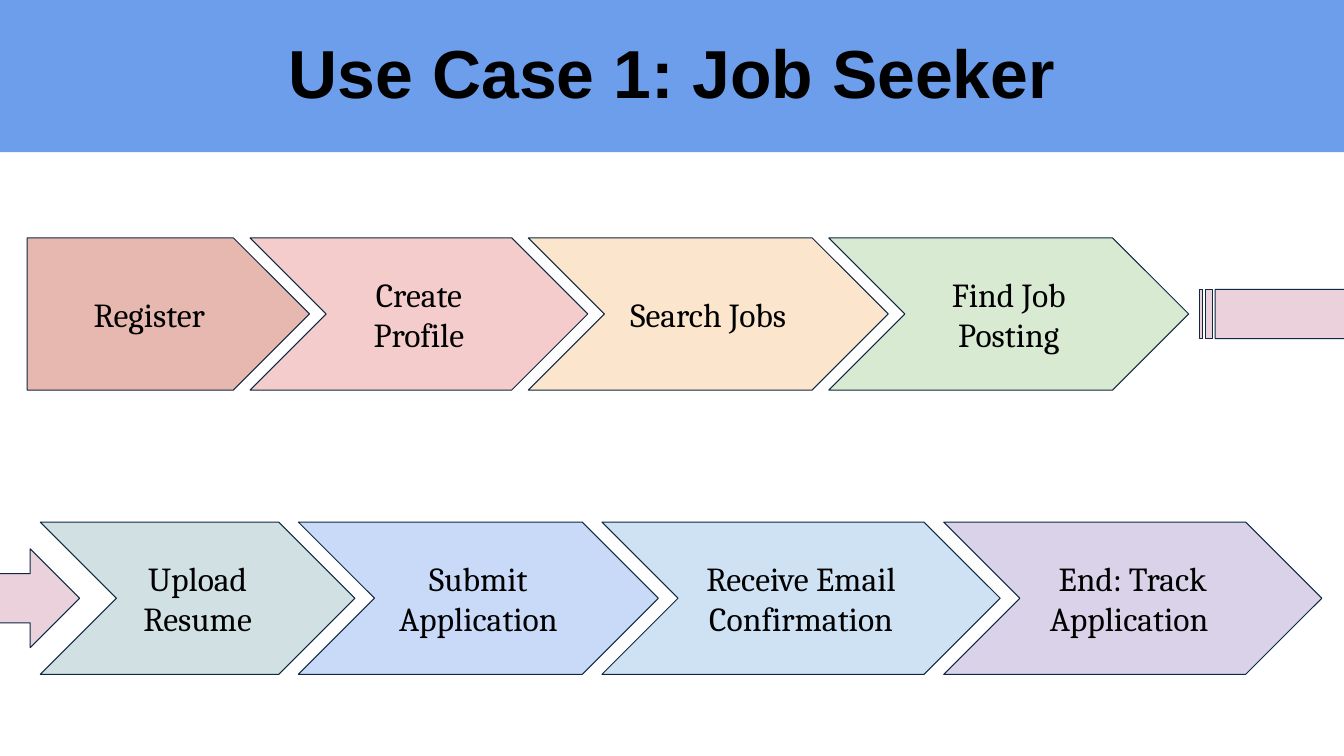
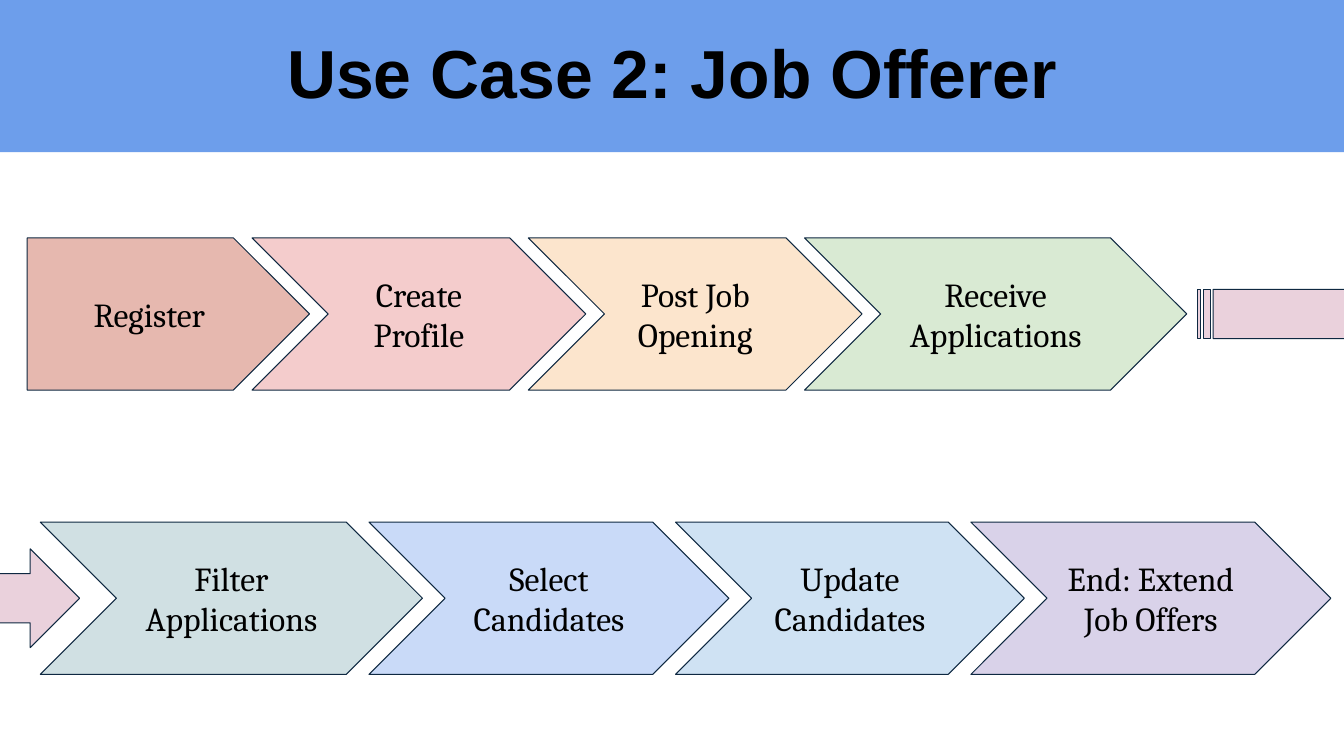
from pptx import Presentation
from pptx.dml.color import RGBColor as Rgb
from pptx.enum.shapes import MSO_SHAPE as Kind
from pptx.enum.text import MSO_ANCHOR as Anchor, MSO_AUTO_SIZE as Fit, PP_ALIGN as Align
from pptx.util import Inches as In, Pt

WIDE, HIGH = 13.33, 7.5
BAND = 1.51
STEP = 1.51
ROWS = (2.36, 5.18)
LEFTS = (0.27, 0.4)
ARROW = (2.48, 0.98)
LEAD_IN, LEAD_OUT = 0.39, 0.11
BLUE, INK, EDGE, PINK = "6D9EEB", "000000", "0E2841", "EAD1DC"
TINTS = (("E6B8AF", "F4CCCC", "FCE5CD", "D9EAD3"),
         ("D0E0E3", "C9DAF8", "CFE2F3", "D9D2E9"))

CASES = (
    ("Use Case 1: Job Seeker", (
        (0.59, (("Register", 2.8), ("Create Profile", 3.35),
                ("Search Jobs", 3.57), ("Find Job Posting", 3.57))),
        (0.56, (("Upload Resume", 3.12), ("Submit Application", 3.57),
                ("Receive Email Confirmation", 3.95),
                ("End: Track Application ", 3.75))))),
    ("Use Case 2: Job Offerer", (
        (0.57, (("Register", 2.8), ("Create Profile", 3.31),
                ("Post Job Opening", 3.31), ("Receive Applications", 3.79))),
        (0.53, (("Filter Applications", 3.79), ("Select Candidates", 3.57),
                ("Update Candidates", 3.46), ("End: Extend Job Offers", 3.57))))),
)


def paint(part, tint):
    """Fill a shape or color a font with a hex tint."""
    if hasattr(part, "solid"):
        part.solid()
        part.fore_color.rgb = Rgb.from_string(tint)
    else:
        part.color.rgb = Rgb.from_string(tint)


def write(shape, text, size=24, face="Cambria", bold=False, pad=0.1, lead=None):
    """Put centred text in a shape."""
    frame = shape.text_frame
    frame.word_wrap = True
    frame.auto_size = Fit.NONE
    frame.vertical_anchor = Anchor.MIDDLE
    frame.margin_left = frame.margin_right = In(0.1)
    frame.margin_top = frame.margin_bottom = In(pad)
    line = frame.paragraphs[0]
    line.alignment = Align.CENTER
    if lead:
        line.line_spacing = lead
    run = line.add_run()
    run.text = text
    run.font.size, run.font.name, run.font.bold = Pt(size), face, bold
    paint(run.font, INK)


def draw(slide, kind, box, tint):
    """Add an outlined shape in a box."""
    shape = slide.shapes.add_shape(kind, *map(In, box))
    shape.shadow.inherit = False
    shape.adjustments[0] = 0.5
    paint(shape.fill, tint)
    paint(shape.line, EDGE)
    shape.line.width = Pt(0.75)
    return shape


def head(slide, text):
    """Turn the title placeholder into the top band."""
    title = slide.shapes.title
    title.left, title.top, title.width, title.height = map(In, (0, 0, WIDE, BAND))
    paint(title.fill, BLUE)
    write(title, text, size=48.5, face="Arial", bold=True, pad=0.05, lead=0.9)


def chain(slide, left, top, lap, steps, tints, first):
    """Lay out interlocking steps and return the right end."""
    for spot, ((text, wide), tint) in enumerate(zip(steps, tints)):
        kind = Kind.PENTAGON if first and spot == 0 else Kind.CHEVRON
        write(draw(slide, kind, (left, top, wide, STEP), tint), text)
        left += wide - lap
    return left + lap


def link(slide, left, top):
    """Add a striped arrow centred on a row of steps."""
    wide, high = ARROW
    box = (left, top + (STEP - high) / 2, wide, high)
    draw(slide, Kind.STRIPED_RIGHT_ARROW, box, PINK)


def build(deck, name, rows):
    """Make one use case slide of two linked rows."""
    slide = deck.slides.add_slide(deck.slide_layouts[5])
    head(slide, name)
    ends = [chain(slide, left, top, lap, steps, tints, top == ROWS[0])
            for left, top, (lap, steps), tints in zip(LEFTS, ROWS, rows, TINTS)]
    link(slide, ends[0] + LEAD_OUT, ROWS[0])
    link(slide, LEFTS[1] + LEAD_IN - ARROW[0], ROWS[1])


def main():
    """Build and save the deck."""
    deck = Presentation()
    deck.slide_width, deck.slide_height = In(WIDE), In(HIGH)
    for name, rows in CASES:
        build(deck, name, rows)
    deck.save("out.pptx")


if __name__ == "__main__":
    main()
